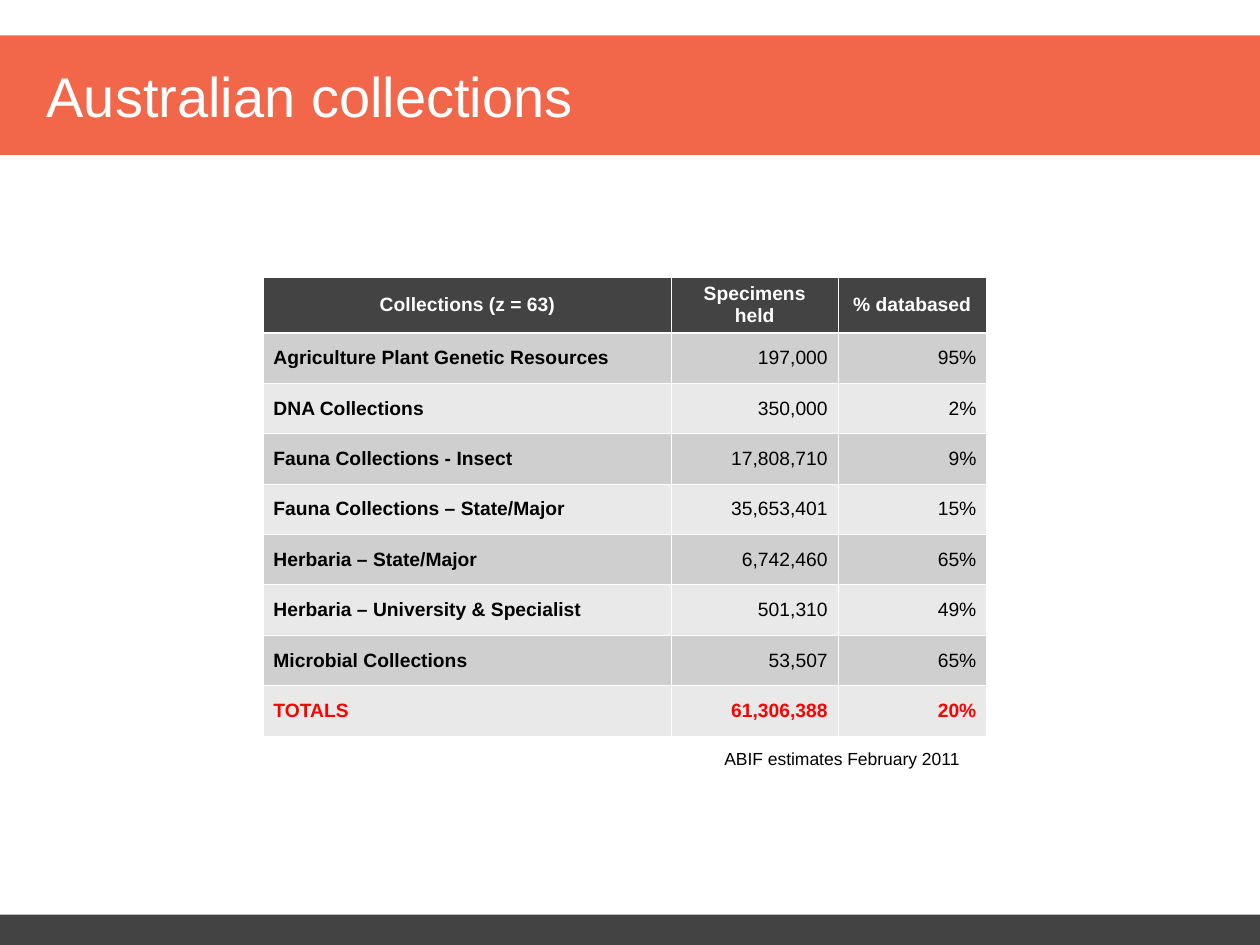
from lxml import etree
from pptx import Presentation
from pptx.dml.color import RGBColor
from pptx.enum.shapes import MSO_SHAPE
from pptx.enum.text import MSO_ANCHOR, PP_ALIGN
from pptx.oxml.ns import qn
from pptx.util import Inches, Pt

LEFT, CENTER, RIGHT = PP_ALIGN.LEFT, PP_ALIGN.CENTER, PP_ALIGN.RIGHT
MIDDLE = MSO_ANCHOR.MIDDLE
RECTANGLE = MSO_SHAPE.RECTANGLE

# Content
TITLE = "Australian collections"
HEADER = ("Collections (z = 63)", "Specimens held", "% databased")
COLLECTIONS = [
    ("Agriculture Plant Genetic Resources", "197,000", "95%"),
    ("DNA Collections", "350,000", "2%"),
    ("Fauna Collections - Insect", "17,808,710", "9%"),
    ("Fauna Collections – State/Major", "35,653,401", "15%"),
    ("Herbaria – State/Major", "6,742,460", "65%"),
    ("Herbaria – University & Specialist", "501,310", "49%"),
    ("Microbial Collections", "53,507", "65%"),
]
TOTALS = ("TOTALS", "61,306,388", "20%")
SOURCE_NOTE = "ABIF estimates February 2011"

# Look and layout, in inches
COLORS = {"orange": "F26649", "charcoal": "434344", "white": "FFFFFF", "black": "000000",
          "red": "FF0000", "dark band": "CFCFCF", "light band": "E9E9E9"}
WIDTH, HEIGHT = 10, 7.5
BANNER_TOP, BANNER_HEIGHT, FOOTER_HEIGHT = 0.28, 0.95, 0.24
BARS = [("orange", BANNER_TOP, BANNER_HEIGHT),
        ("charcoal", HEIGHT - FOOTER_HEIGHT, FOOTER_HEIGHT)]
TABLE_LEFT, TABLE_TOP, ROW_HEIGHT = 2.09, 2.2, 0.4
COLUMN_WIDTHS = (3.24, 1.32, 1.18)
CELL_FORMAT = {"vertical_anchor": MIDDLE,
               "margin_left": Inches(0.08), "margin_right": Inches(0.08),
               "margin_top": Inches(0.05), "margin_bottom": Inches(0.05)}
THIN, THICK = 0.45, 1.47


def color(name):
    return RGBColor.from_string(COLORS[name])


def write(frame, text, size, color_name, align=LEFT, bold=False):
    para = frame.paragraphs[0]
    para.alignment = align
    span = para.add_run()
    span.text = text
    for key, value in {"name": "Arial", "size": Pt(size), "bold": bold}.items():
        setattr(span.font, key, value)
    span.font.color.rgb = color(color_name)


def set_borders(cell, widths):
    properties = cell._tc.get_or_add_tcPr()
    for index, (side, width) in enumerate(widths.items()):
        line = etree.Element(qn(f"a:{side}"), w=str(Pt(width)))
        fill = etree.SubElement(line, qn("a:solidFill"))
        etree.SubElement(fill, qn("a:srgbClr"), val=COLORS["white"])
        properties.insert(index, line)


def add_bars(page):
    for name, top, height in BARS:
        bar = page.shapes.add_shape(RECTANGLE, 0, Inches(top), Inches(WIDTH), Inches(height))
        bar.shadow.inherit = False
        bar.fill.solid()
        bar.fill.fore_color.rgb = color(name)
        bar.line.fill.background()


def add_title(page):
    title = page.shapes.title
    title.left, title.top = Inches(0.27), Inches(BANNER_TOP)
    title.width, title.height = Inches(6.95), Inches(BANNER_HEIGHT)
    title.text_frame.vertical_anchor = MIDDLE
    write(title.text_frame, TITLE, 32, "white")
    page.shapes._spTree.append(title._element)  # in front of the banner


def add_collections_table(page):
    rows = [HEADER, *COLLECTIONS, TOTALS]
    table = page.shapes.add_table(
        len(rows), len(HEADER), Inches(TABLE_LEFT), Inches(TABLE_TOP),
        Inches(sum(COLUMN_WIDTHS)), Inches(ROW_HEIGHT * len(rows))).table
    for column, width in zip(table.columns, COLUMN_WIDTHS):
        column.width = Inches(width)
    for r, row in enumerate(rows):
        table.rows[r].height = Inches(ROW_HEIGHT)
        is_header, is_total = row is HEADER, row is TOTALS
        band = "charcoal" if is_header else "dark band" if r % 2 else "light band"
        ink = "white" if is_header else "red" if is_total else "black"
        for c, text in enumerate(row):
            cell = table.cell(r, c)
            for key, value in CELL_FORMAT.items():
                setattr(cell, key, value)
            cell.fill.solid()
            cell.fill.fore_color.rgb = color(band)
            set_borders(cell, {"lnL": THIN, "lnR": THIN,
                               "lnT": THICK if r == 1 else THIN,
                               "lnB": THICK if is_header else THIN})
            align = CENTER if is_header else RIGHT if c else LEFT
            write(cell.text_frame, text, 11, ink, align, is_header or is_total or c == 0)


def add_source_note(page):
    box = page.shapes.add_textbox(Inches(5.65), Inches(5.89), Inches(2.21), Inches(0.27))
    box.text_frame.word_wrap = True
    write(box.text_frame, SOURCE_NOTE, 10, "black")


def main():
    deck = Presentation()
    deck.slide_width, deck.slide_height = Inches(WIDTH), Inches(HEIGHT)
    page = deck.slides.add_slide(deck.slide_layouts[5])  # title only
    add_bars(page)
    add_title(page)
    add_collections_table(page)
    add_source_note(page)
    deck.save("out.pptx")


if __name__ == "__main__":
    main()
